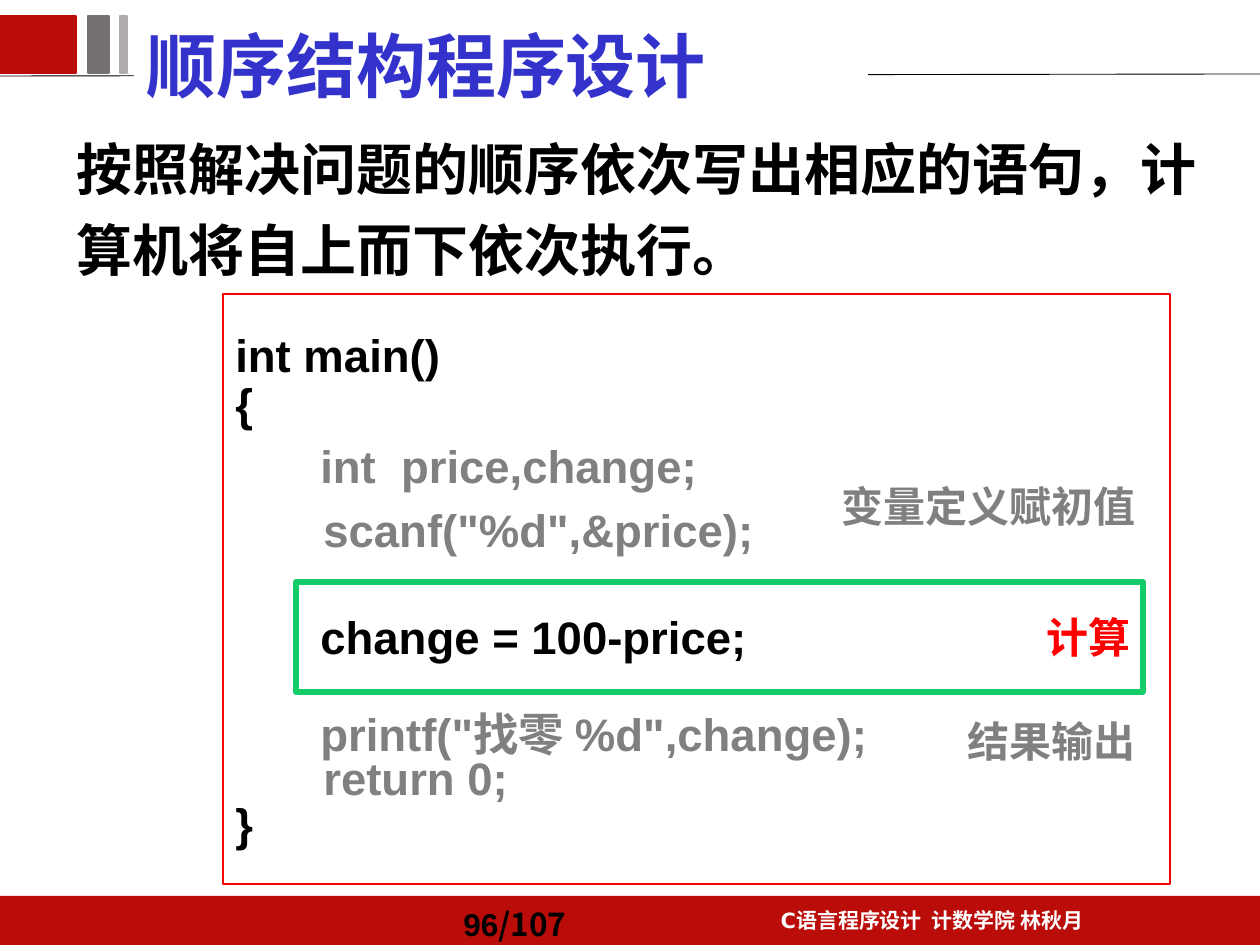
from dataclasses import dataclass
from typing import Optional

from lxml import etree
from pptx import Presentation
from pptx.dml.color import RGBColor
from pptx.enum.shapes import MSO_CONNECTOR, MSO_SHAPE
from pptx.enum.text import MSO_ANCHOR, PP_ALIGN
from pptx.oxml.ns import qn
from pptx.util import Emu, Pt

LINE, RECT = MSO_CONNECTOR.STRAIGHT, MSO_SHAPE.RECTANGLE
TOP, MID = MSO_ANCHOR.TOP, MSO_ANCHOR.MIDDLE
LEFT, MIDDLE, RIGHT = PP_ALIGN.LEFT, PP_ALIGN.CENTER, PP_ALIGN.RIGHT
SCALE = 914400 / 126
CJK, LATIN, SANS = "Noto Sans CJK SC", "Arial", "DejaVu Sans"
RED, WHITE, BLACK, GRAY = "BA0D09", "FFFFFF", "000000", "808080"
BRIGHT, GREEN, BLUE = "FF0000", "14CD68", "3333CC"


@dataclass
class Box:
    left: int
    top: int
    width: int
    height: int
    fill: Optional[str] = None
    edge: Optional[str] = None
    weight: float = 1


@dataclass
class Para:
    text: str
    size: float
    color: str = BLACK
    face: str = CJK
    align: PP_ALIGN = LEFT
    space: object = 1.0
    before: float = 0
    indent: int = 0


def px(count: int) -> Emu:
    return Emu(round(count * SCALE))


def rgb(code: str) -> RGBColor:
    return RGBColor.from_string(code)


def draw_box(slide, box: Box):
    shape = slide.shapes.add_shape(
        RECT, px(box.left), px(box.top), px(box.width), px(box.height))
    shape.shadow.inherit = False
    if box.fill:
        shape.fill.solid()
        shape.fill.fore_color.rgb = rgb(box.fill)
    else:
        shape.fill.background()
    if box.edge:
        shape.line.color.rgb = rgb(box.edge)
        shape.line.width = Pt(box.weight)
    else:
        shape.line.fill.background()
    return shape


def draw_text(slide, box: Box, paras: list[Para], anchor: MSO_ANCHOR = TOP):
    frame = draw_box(slide, box).text_frame
    frame.word_wrap = True
    frame.vertical_anchor = anchor
    for i, para in enumerate(paras):
        item = frame.add_paragraph() if i else frame.paragraphs[0]
        item.add_run().text = para.text
        item.alignment = para.align
        item.line_spacing = para.space
        item.space_before = Pt(para.before)
        font = item.font
        font.size, font.bold, font.name = Pt(para.size), True, para.face
        font.color.rgb = rgb(para.color)
        props = item._p.get_or_add_pPr()
        props.set("marL", str(px(para.indent)))
        props.set("indent", "0")
        east = etree.SubElement(props.find(qn("a:defRPr")), qn("a:ea"))
        east.set("typeface", CJK)
    return frame


def draw_rule(slide, x1: int, y1: int, x2: int, y2: int) -> None:
    rule = slide.shapes.add_connector(LINE, px(x1), px(y1), px(x2), px(y2))
    rule.line.color.rgb = rgb(BLACK)
    rule.line.width = Pt(0.5)
    etree.SubElement(rule._element.spPr, qn("a:effectLst"))


def code(text: str, space: float = 1.0, color: str = GRAY, indent: int = 85) -> Para:
    return Para(text, 26, color, LATIN, LEFT, space, 5.2, indent)


def label(text: str, color: str = GRAY) -> list[Para]:
    return [Para(text, 24, color, align=RIGHT)]


def main() -> None:
    deck = Presentation()
    deck.slide_width, deck.slide_height = px(1260), px(945)
    slide = deck.slides.add_slide(deck.slide_layouts[6])

    # Footer band
    draw_box(slide, Box(0, 896, 1260, 49, RED))
    draw_text(slide, Box(709, 896, 446, 43), [
        Para("C语言程序设计  计数学院 林秋月", 12, WHITE, SANS, MIDDLE, 1.2, 2.4)])
    page = draw_text(slide, Box(451, 896, 179, 49), [
        Para("96", 18, face=LATIN, space=1.2, before=3.6)], MID)
    total = page.paragraphs[0].add_run()
    total.text = "/107"
    total.font.name = CJK

    # Header rule and blocks
    draw_rule(slide, 0, 76, 1260, 74)
    for left, width, tint in ((0, 76, RED), (88, 21, "767171"), (120, 7, "AFABAB")):
        draw_box(slide, Box(left, 16, width, 57, tint, tint))

    # Title and statement
    draw_text(slide, Box(64, 115, 1182, 175), [
        Para("按照解决问题的顺序依次写出相应的语句，计算机将自上而下依次执行。", 32, space=1.2)])
    draw_text(slide, Box(134, 35, 734, 78, WHITE), [
        Para("顺序结构程序设计", 40, BLUE, space=Pt(37))], MID)

    # Program listing
    draw_text(slide, Box(223, 294, 947, 590, WHITE, BRIGHT, 1.5), [
        code("int main()", 1.5, BLACK, 0),
        code("{", 0.7, BLACK, 0),
        code("int  price,change;"),
        code("scanf(\"%d\",&price);", indent=88),
        code("change = 100-price;", 1.8, BLACK),
        code("printf(\"找零 %d\",change);", 1.6),
        code("return 0;", 0.6, indent=88),
        code("}", 0.7, BLACK, 0),
    ])

    # Step labels
    draw_text(slide, Box(801, 436, 347, 139, WHITE), label("变量定义赋初值"), MID)
    draw_text(slide, Box(895, 704, 253, 73, WHITE), label("结果输出"), MID)
    draw_text(slide, Box(296, 582, 847, 110, None, GREEN, 3), label("计算", BRIGHT), MID)

    deck.save("out.pptx")


if __name__ == "__main__":
    main()
